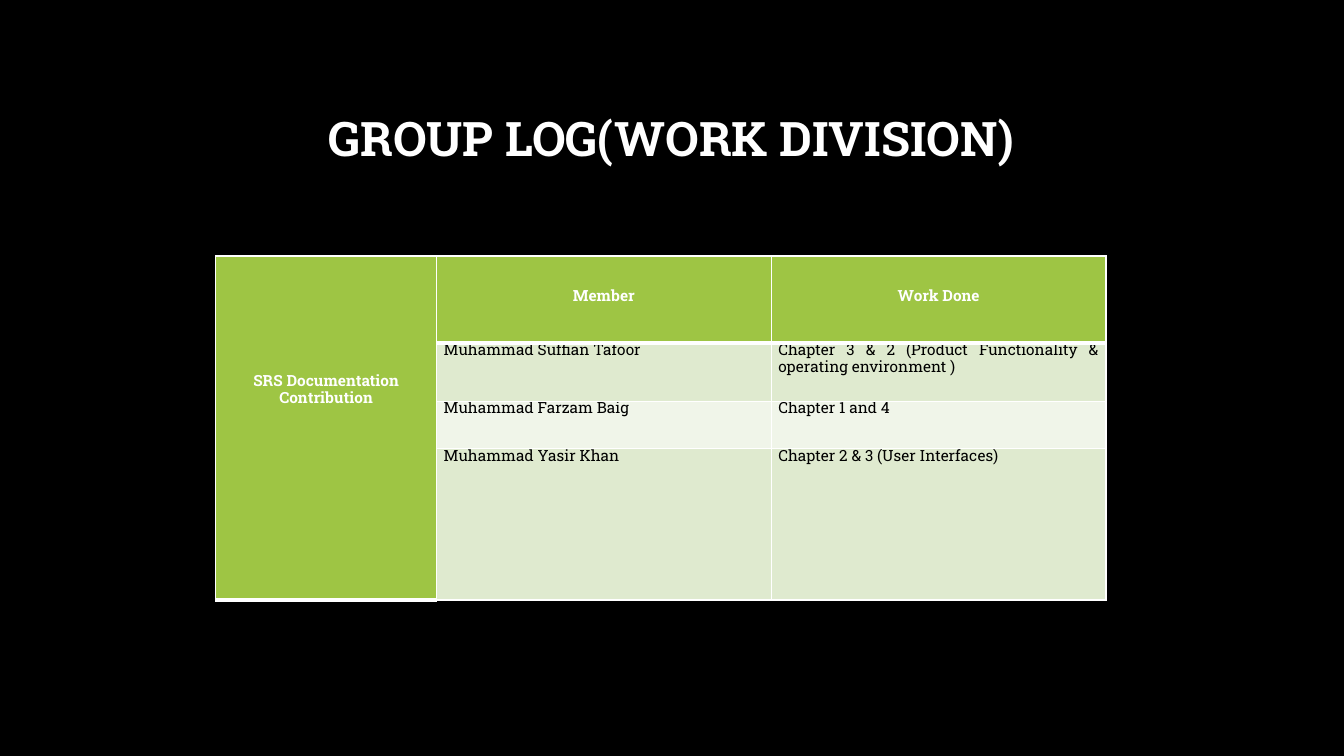
from lxml import etree
from pptx import Presentation
from pptx.dml.color import RGBColor
from pptx.enum.text import MSO_ANCHOR, PP_ALIGN
from pptx.oxml.ns import qn
from pptx.util import Inches, Pt

CENTER, JUSTIFY = PP_ALIGN.CENTER, PP_ALIGN.JUSTIFY
MIDDLE = MSO_ANCHOR.MIDDLE
BLACK = RGBColor(0x00, 0x00, 0x00)
WHITE = RGBColor(0xFF, 0xFF, 0xFF)
GREEN = RGBColor(0x9E, 0xC5, 0x44)
BANDS = [RGBColor(0xDF, 0xEA, 0xCF), RGBColor(0xF0, 0xF5, 0xE9)]
FONT = "Roboto Slab"

TITLE = "GROUP LOG(WORK DIVISION)"
CONTRIBUTION = "SRS Documentation Contribution"
HEADINGS = ["Member", "Work Done"]
WORK_LOG = [
    ("Muhammad Suffian Tafoor",
     "Chapter 3 & 2 (Product Functionality & operating environment )"),
    ("Muhammad Farzam Baig", "Chapter 1 and 4"),
    ("Muhammad Yasir Khan", "Chapter 2 & 3 (User Interfaces)"),
]
COLUMN_SHARES = [2.19, 3.32, 3.32]
ROW_SHARES = [0.86, 0.58, 0.47, 1.5]


def set_all(target, values):
    for name, value in values.items():
        setattr(target, name, value)


def write(paragraph, text, align, spacing, size, color, bold):
    set_all(paragraph, {"alignment": align, "line_spacing": spacing})
    run = paragraph.add_run()
    run.text = text
    set_all(run.font, {"name": FONT, "size": Pt(size), "bold": bold})
    run.font.color.rgb = color


def add_borders(cell, bottom_width):
    properties = cell._tc.get_or_add_tcPr()
    widths = {"a:lnL": 1, "a:lnR": 1, "a:lnT": 1, "a:lnB": bottom_width}
    for side, width in widths.items():
        line = etree.SubElement(properties, qn(side), w=str(Pt(width)))
        fill = etree.SubElement(line, qn("a:solidFill"))
        etree.SubElement(fill, qn("a:srgbClr"), val=str(WHITE))


def fill_cell(cell, text, fill, heading=False, top=0):
    add_borders(cell, 3 if heading else 1)
    cell.fill.solid()
    cell.fill.fore_color.rgb = fill
    set_all(cell, {"margin_left": Inches(0.07), "margin_right": Inches(0.07),
                   "margin_top": Inches(top), "margin_bottom": 0})
    write(cell.text_frame.paragraphs[0], text, CENTER if heading else JUSTIFY,
          Pt(12), 11, WHITE if heading else BLACK, heading)


def add_title(slide, left, top, width, height):
    title = slide.shapes.add_textbox(
        Inches(left), Inches(top), Inches(width), Inches(height))
    frame = title.text_frame
    set_all(frame, {"word_wrap": True, "vertical_anchor": MIDDLE})
    write(frame.paragraphs[0], TITLE, CENTER, 0.9, 34, WHITE, True)


def add_work_table(slide, left, top, width, height):
    table = slide.shapes.add_table(
        len(ROW_SHARES), len(COLUMN_SHARES),
        Inches(left), Inches(top), Inches(width), Inches(height)).table
    for column, share in zip(table.columns, COLUMN_SHARES):
        column.width = Inches(width * share / sum(COLUMN_SHARES))
    for row, share in zip(table.rows, ROW_SHARES):
        row.height = Inches(height * share / sum(ROW_SHARES))

    contribution = table.cell(0, 0)
    contribution.merge(table.cell(len(WORK_LOG), 0))
    fill_cell(contribution, CONTRIBUTION, GREEN, heading=True, top=1.17)
    for column, heading in enumerate(HEADINGS, 1):
        fill_cell(table.cell(0, column), heading, GREEN, heading=True, top=0.33)
    for row, entry in enumerate(WORK_LOG, 1):
        for column, text in enumerate(entry, 1):
            fill_cell(table.cell(row, column), text, BANDS[(row - 1) % 2])


def main():
    deck = Presentation()
    set_all(deck, {"slide_width": Inches(13.33), "slide_height": Inches(7.5)})
    slide = deck.slides.add_slide(deck.slide_layouts[6])
    slide.background.fill.solid()
    slide.background.fill.fore_color.rgb = BLACK
    add_title(slide, 1, 0.67, 11.32, 1.45)
    add_work_table(slide, 2.14, 2.54, 8.83, 3.41)
    deck.save("out.pptx")


if __name__ == "__main__":
    main()
